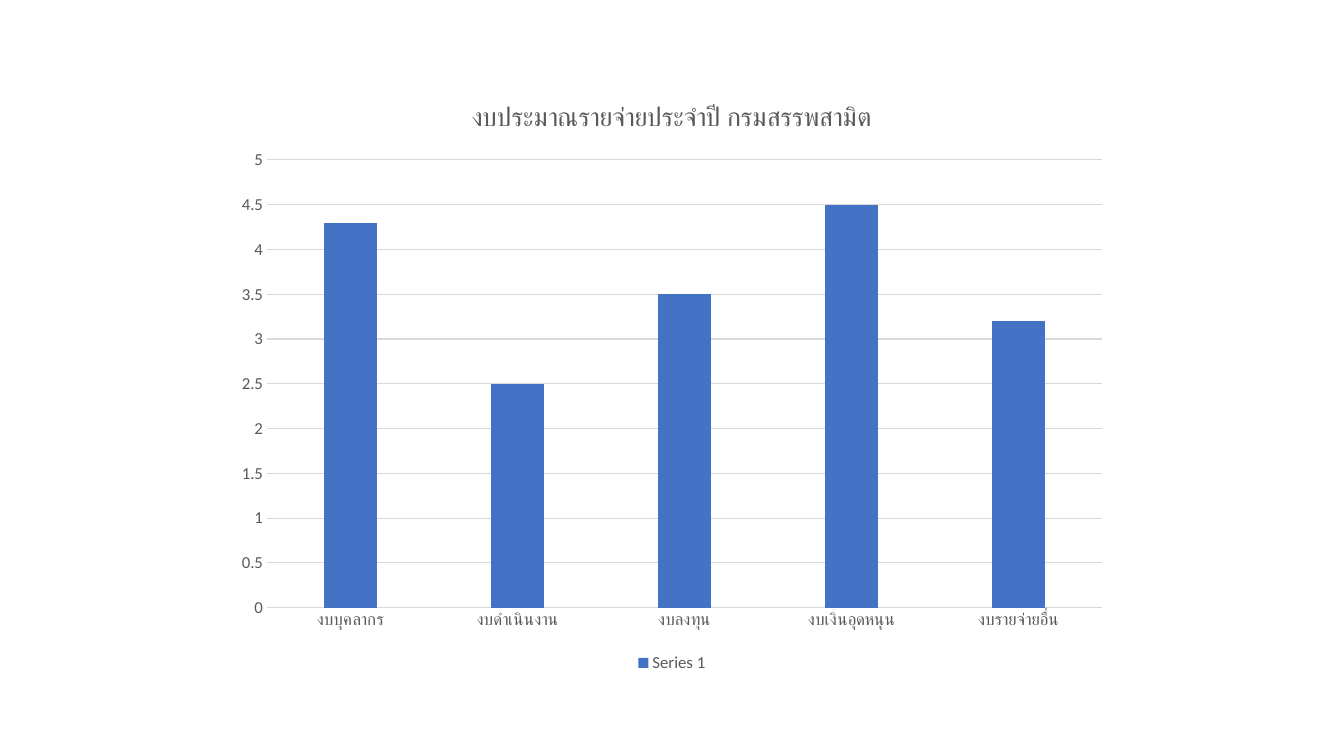
from lxml import etree
from pptx import Presentation
from pptx import util as u
from pptx.chart import data as chart_data
from pptx.dml import color
from pptx.enum import chart as kinds
from pptx.oxml import ns

EMU_PER_PIXEL = 914400 / 100.8
FONT = "Calibri"
GREY, RULE, BLUE = "595959", "D9D9D9", "4472C4"
CHART_BOX = (224, 80, 896, 597)
PLOT_BOX = (267, 160, 835, 448)
TITLE = "งบประมาณรายจ่ายประจำปี กรมสรรพสามิต"
BUDGETS = {
    "งบบุคลากร": 4.3,
    "งบดำเนินงาน": 2.5,
    "งบลงทุน": 3.5,
    "งบเงินอุดหนุน": 4.5,
    "งบรายจ่ายอื่น": 3.2,
}


def px(length):
    """Turn pixels into EMU."""
    return u.Emu(round(length * EMU_PER_PIXEL))


def rgb(value):
    """Turn a hex string into a colour."""
    return color.RGBColor.from_string(value)


def set_font(font, size):
    """Give chart text its font, size and colour."""
    font.name, font.size, font.bold = FONT, u.Pt(size), False
    font.color.rgb = rgb(GREY)


def set_line(line):
    """Draw a thin light rule."""
    line.color.rgb = rgb(RULE)
    line.width = u.Pt(0.75)


def style_axis(axis):
    """Set an axis to grey labels without tick marks."""
    axis.major_tick_mark = axis.minor_tick_mark = kinds.XL_TICK_MARK.NONE
    set_font(axis.tick_labels.font, 12)


def place_plot(chart):
    """Fix the inner plot area at PLOT_BOX within the chart."""
    left, top, width, height = CHART_BOX
    x, y, w, h = PLOT_BOX
    settings = {
        "layoutTarget": "inner", "xMode": "edge", "yMode": "edge",
        "x": round((x - left) / width, 3), "y": round((y - top) / height, 3),
        "w": round(w / width, 3), "h": round(h / height, 3),
    }
    plot_area = chart._chartSpace.chart.plotArea
    for old in plot_area.findall(ns.qn("c:layout")):
        plot_area.remove(old)
    layout = etree.Element(ns.qn("c:layout"))
    manual = etree.SubElement(layout, ns.qn("c:manualLayout"))
    for name, value in settings.items():
        etree.SubElement(manual, ns.qn(f"c:{name}")).set("val", str(value))
    plot_area.insert(0, layout)


def add_budget_chart(page):
    """Add the column chart of budgets."""
    figures = chart_data.CategoryChartData()
    figures.categories = list(BUDGETS)
    figures.add_series("Series 1", list(BUDGETS.values()))
    chart = page.shapes.add_chart(
        kinds.XL_CHART_TYPE.COLUMN_CLUSTERED, *map(px, CHART_BOX), figures
    ).chart
    set_font(chart.font, 12)

    chart.has_title = True
    span = chart.chart_title.text_frame.paragraphs[0].add_run()
    span.text = TITLE
    set_font(span.font, 18.6)
    chart.chart_title.include_in_layout = False

    chart.has_legend = True
    chart.legend.position = kinds.XL_LEGEND_POSITION.BOTTOM
    chart.legend.include_in_layout = False
    set_font(chart.legend.font, 12)

    style_axis(chart.category_axis)
    set_line(chart.category_axis.format.line)
    values = chart.value_axis
    style_axis(values)
    values.format.line.fill.background()
    values.minimum_scale, values.maximum_scale, values.major_unit = 0, 5, 0.5
    set_line(values.major_gridlines.format.line)

    plot = chart.plots[0]
    plot.vary_by_categories = False
    plot.gap_width, plot.overlap = 219, -27
    fill = plot.series[0].format.fill
    fill.solid()
    fill.fore_color.rgb = rgb(BLUE)
    place_plot(chart)


def main():
    """Build and save the slide."""
    deck = Presentation()
    deck.slide_width, deck.slide_height = px(1344), px(756)
    page = deck.slides.add_slide(deck.slide_layouts[6])
    add_budget_chart(page)
    deck.save("out.pptx")


main()
